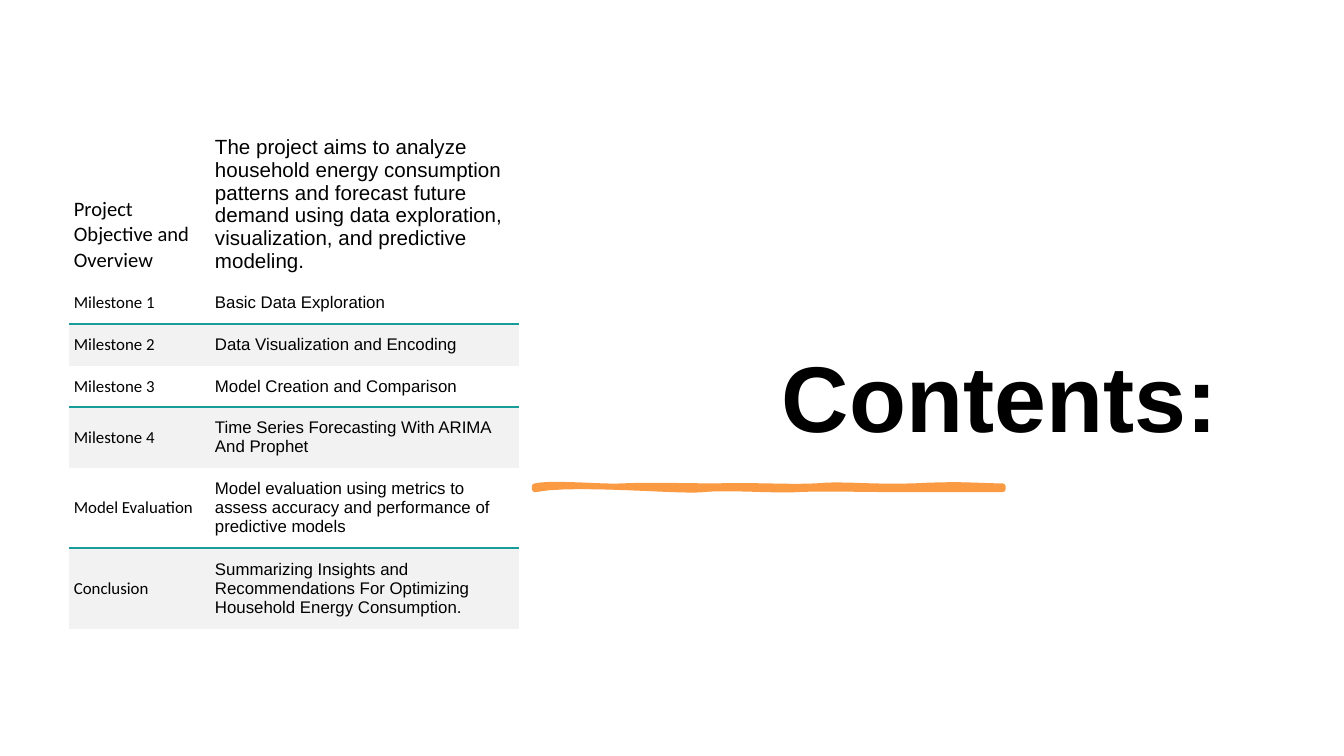
from lxml import etree
from pptx import Presentation
from pptx.dml.color import RGBColor
from pptx.enum.text import MSO_ANCHOR
from pptx.oxml.ns import qn
from pptx.util import Inches, Pt

BLACK = RGBColor(0x00, 0x00, 0x00)
ORANGE = RGBColor(0xFA, 0x9A, 0x42)
GRAY = RGBColor(0xF2, 0xF2, 0xF2)
TEAL = RGBColor(0x16, 0x9C, 0x9A)
BOTTOM, MIDDLE = MSO_ANCHOR.BOTTOM, MSO_ANCHOR.MIDDLE
NO_STYLE = "{2D5ABB26-0587-4C30-8999-92F81FD0307C}"

TITLE = "Contents:"
ROWS = [  # label, description, row height
    ("Project Objective and Overview",
     "The project aims to analyze household energy consumption patterns and "
     "forecast future demand using data exploration, visualization, and "
     "predictive modeling.", 1.31),
    ("Milestone 1", "Basic Data Exploration", 0.31),
    ("Milestone 2", "Data Visualization and Encoding", 0.31),
    ("Milestone 3", "Model Creation and Comparison", 0.31),
    ("Milestone 4", "Time Series Forecasting With ARIMA And Prophet", 0.45),
    ("Model Evaluation",
     "Model evaluation using metrics to assess accuracy and performance of "
     "predictive models", 0.6),
    ("Conclusion",
     "Summarizing Insights and Recommendations For Optimizing Household "
     "Energy Consumption.", 0.6),
]
COLUMNS = [(1.05, "Calibri"), (2.3, "Arial")]

# Hand-drawn stroke: start point, then two controls and an end per curve
STROKE_START = (3.98, 3.62)
STROKE_CURVES = [
    ((4.12, 3.59), (4.49, 3.63), (4.64, 3.62)),
    ((4.79, 3.61), (5.14, 3.62), (5.34, 3.62)),
    ((5.54, 3.61), (5.86, 3.63), (6.07, 3.62)),
    ((6.28, 3.6), (6.45, 3.63), (6.8, 3.62)),
    ((7.15, 3.6), (7.29, 3.62), (7.46, 3.62)),
    ((7.46, 3.63), (7.46, 3.63), (7.46, 3.64)),
    ((7.26, 3.64), (6.91, 3.64), (6.7, 3.64)),
    ((6.49, 3.64), (6.09, 3.63), (5.93, 3.64)),
    ((5.77, 3.65), (5.39, 3.62), (5.23, 3.64)),
    ((5.08, 3.66), (4.26, 3.58), (3.98, 3.64)),
]
CURVE_STEPS = 10


def curve_points(start, curves):
    """Return points along a chain of cubic Bezier curves."""
    points = []
    for c1, c2, end in curves:
        for i in range(1, CURVE_STEPS + 1):
            t = i / CURVE_STEPS
            u = 1 - t
            points.append(tuple(
                Inches(u**3 * a + 3 * u * u * t * b + 3 * u * t * t * c + t**3 * d)
                for a, b, c, d in zip(start, c1, c2, end)))
        start = end
    return points


def format_run(p, font, size, bold=False):
    f = p.runs[0].font
    f.name, f.size, f.bold = font, Pt(size), bold
    f.color.rgb = BLACK


def set_borders(cell, top=None):
    """Leave the cell without borders, except for a top one in the given colour."""
    tc_pr = cell._tc.get_or_add_tcPr()
    for i, (side, color) in enumerate([("lnT", top), ("lnB", None)]):
        ln = etree.Element(qn(f"a:{side}"), w=str(Pt(1)))
        if color is None:
            etree.SubElement(ln, qn("a:noFill"))
        else:
            fill = etree.SubElement(ln, qn("a:solidFill"))
            etree.SubElement(fill, qn("a:srgbClr"), val=str(color))
        tc_pr.insert(i, ln)


def add_title(s):
    tf = s.shapes.add_textbox(Inches(5.72), Inches(0.23), Inches(5.5), Inches(3.19)).text_frame
    tf.word_wrap = True
    tf.vertical_anchor = BOTTOM
    tf.text = TITLE
    p = tf.paragraphs[0]
    p.line_spacing = 0.9
    format_run(p, "Arial", 50, bold=True)


def add_stroke(s):
    builder = s.shapes.build_freeform(*(Inches(v) for v in STROKE_START), scale=1.0)
    builder.add_line_segments(curve_points(STROKE_START, STROKE_CURVES), close=True)
    sp = builder.convert_to_shape()
    sp.shadow.inherit = False
    sp.fill.solid()
    sp.fill.fore_color.rgb = ORANGE
    sp.line.color.rgb = ORANGE
    sp.line.width = Pt(3.25)


def add_contents_table(s):
    width = sum(w for w, _ in COLUMNS)
    height = sum(h for _, _, h in ROWS)
    table = s.shapes.add_table(len(ROWS), len(COLUMNS), Inches(0.51), Inches(0.79),
                               Inches(width), Inches(height)).table
    table.first_row = table.horz_banding = False
    table._tbl.tblPr.find(qn("a:tableStyleId")).text = NO_STYLE
    for col, (w, _) in zip(table.columns, COLUMNS):
        col.width = Inches(w)
    for i, (*texts, h) in enumerate(ROWS):
        table.rows[i].height = Inches(h)
        shaded = i > 0 and i % 2 == 0
        for j, (text, (_, font)) in enumerate(zip(texts, COLUMNS)):
            cell = table.cell(i, j)
            cell.margin_left = cell.margin_right = Inches(0.04)
            cell.margin_top = cell.margin_bottom = Inches(0.07)
            cell.vertical_anchor = MIDDLE if i else BOTTOM
            cell.text = text
            format_run(cell.text_frame.paragraphs[0], font, 9 if i else 11)
            if shaded:
                cell.fill.solid()
                cell.fill.fore_color.rgb = GRAY
                set_borders(cell, top=TEAL)
            else:
                cell.fill.background()
                if i == 0 or i == 1:
                    continue
                set_borders(cell)


prs = Presentation()
prs.slide_width = Inches(10)
prs.slide_height = prs.slide_width * 9 // 16
s = prs.slides.add_slide(prs.slide_layouts[6])
add_title(s)
add_stroke(s)
add_contents_table(s)
prs.save("out.pptx")
